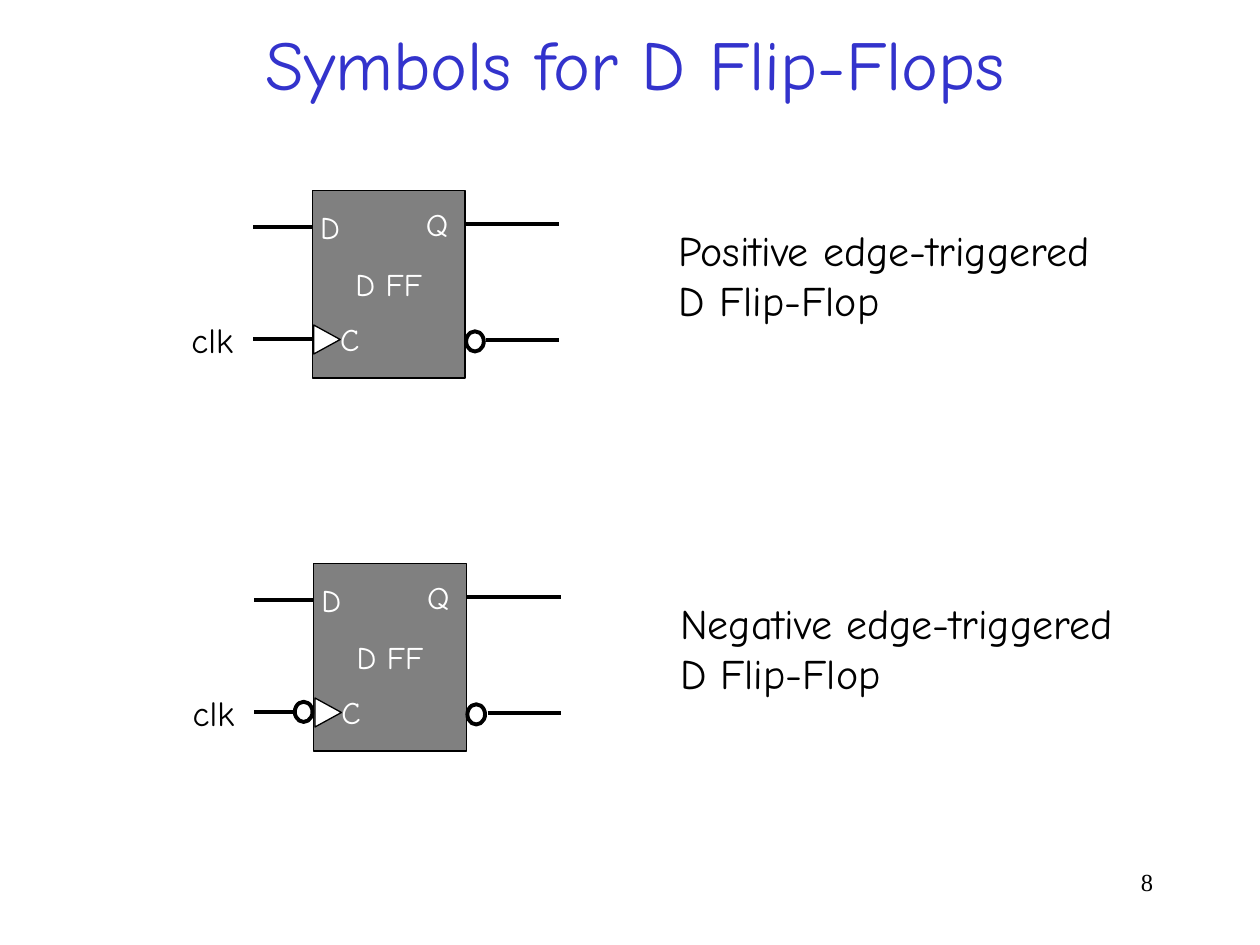
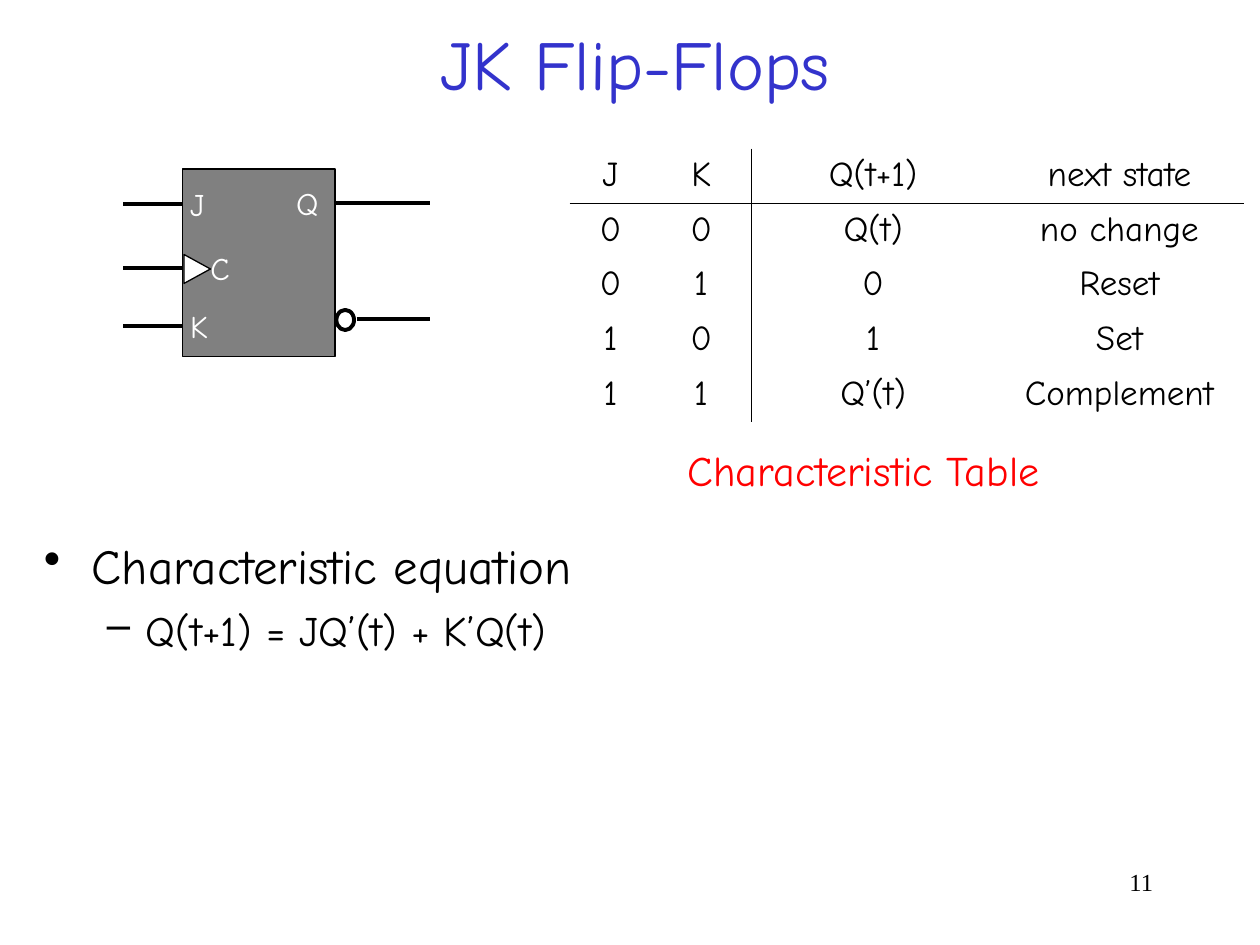
from lxml.etree import SubElement
from pptx import Presentation
from pptx.dml.color import RGBColor
from pptx.enum.shapes import MSO_CONNECTOR, MSO_SHAPE
from pptx.enum.text import MSO_ANCHOR, PP_ALIGN
from pptx.oxml.ns import qn
from pptx.util import Inches, Pt

BLACK = RGBColor(0x00, 0x00, 0x00)
WHITE = RGBColor(0xFF, 0xFF, 0xFF)
GRAY = RGBColor(0x80, 0x80, 0x80)
TITLE_BLUE = RGBColor(0x33, 0x33, 0xCC)
RED = RGBColor(0xFF, 0x00, 0x00)
FONT = "Comic Neue"
NUMBER_FONT = "Times New Roman"

BODY_WIDTH, BODY_HEIGHT = 1.21, 1.49
LEAD_LEFT, LEAD_RIGHT = -0.47, 1.96
OUTPUT_Y, INVERTED_OUTPUT_Y = 0.27, 1.19
BUBBLE_WIDTH, BUBBLE_HEIGHT = 0.14, 0.16
LABEL_WIDTHS = {"D": 0.16, "Q": 0.18, "C": 0.15, "J": 0.11, "K": 0.14}

STATE_COLUMNS = (0.65, 0.79, 1.94, 1.97)
STATE_ROWS = (
    ("J", "K", "Q(t+1)", "next state"),
    ("0", "0", "Q(t)", "no change"),
    ("0", "1", "0", "Reset"),
    ("1", "0", "1", "Set"),
    ("1", "1", "Q’(t)", "Complement"),
)


def write(paragraph, text, size, color=BLACK, font=FONT, align=PP_ALIGN.LEFT):
    """Add one styled run to a paragraph."""
    paragraph.alignment = align
    run = paragraph.add_run()
    run.text = text
    run.font.size = Pt(size)
    run.font.name = font
    run.font.color.rgb = color


def set_margins(frame, horizontal, vertical):
    """Set the inner margins of a text frame."""
    frame.margin_left = frame.margin_right = Inches(horizontal)
    frame.margin_top = frame.margin_bottom = Inches(vertical)


def add_text(shapes, box, lines, size, wrap=False, margins=(0.1, 0.05),
             anchor=MSO_ANCHOR.TOP, **style):
    """Add a text box with one paragraph per line."""
    frame = shapes.add_textbox(*map(Inches, box)).text_frame
    frame.word_wrap = wrap
    frame.vertical_anchor = anchor
    set_margins(frame, *margins)
    for index, line in enumerate(lines):
        paragraph = frame.add_paragraph() if index else frame.paragraphs[0]
        write(paragraph, line, size, **style)
    return frame


def add_figure(shapes, kind, box, fill=None, weight=0.75):
    """Add a black-outlined preset shape, filled or hollow."""
    shape = shapes.add_shape(kind, *map(Inches, box))
    shape.shadow.inherit = False
    if fill is None:
        shape.fill.background()
    else:
        shape.fill.solid()
        shape.fill.fore_color.rgb = fill
    shape.line.color.rgb = BLACK
    shape.line.width = Pt(weight)
    return shape


def add_wire(shapes, start, end, y):
    """Add a horizontal wire."""
    wire = shapes.add_connector(
        MSO_CONNECTOR.STRAIGHT, *map(Inches, (start, y, end, y)))
    wire.line.color.rgb = BLACK
    wire.line.width = Pt(2.25)
    SubElement(wire._element.spPr, qn("a:effectLst"))


def add_bubble(shapes, left, y):
    """Add an inversion bubble centred on a wire."""
    box = (left, y - BUBBLE_HEIGHT / 2, BUBBLE_WIDTH, BUBBLE_HEIGHT)
    add_figure(shapes, MSO_SHAPE.OVAL, box, weight=2.25)


def add_pin_label(shapes, name, left, y):
    """Add a white pin name beside its wire."""
    add_text(shapes, (left, y - 0.15, LABEL_WIDTHS[name], 0.3), [name], 18,
             margins=(0, 0), color=WHITE)


def add_flip_flop(slide, left, top, inputs, clock_y, name=None,
                  clock_name=None, negative_edge=False):
    """Add a flip-flop symbol with its inputs, clock and two outputs."""
    shapes = slide.shapes.add_group_shape().shapes
    right = left + BODY_WIDTH
    lead_left, lead_right = left + LEAD_LEFT, left + LEAD_RIGHT
    body = add_figure(shapes, MSO_SHAPE.RECTANGLE,
                      (left, top, BODY_WIDTH, BODY_HEIGHT), GRAY)
    if name:
        frame = body.text_frame
        frame.word_wrap = False
        frame.vertical_anchor = MSO_ANCHOR.MIDDLE
        set_margins(frame, 0, 0)
        write(frame.paragraphs[0], name, 18, WHITE, align=PP_ALIGN.CENTER)

    for pin, offset in inputs:
        add_wire(shapes, left, lead_left, top + offset)
        add_pin_label(shapes, pin, left + 0.06, top + offset)

    clock = top + clock_y
    add_wire(shapes, left - 0.15 if negative_edge else left, lead_left, clock)
    if negative_edge:
        add_bubble(shapes, left - 0.15, clock)
    wedge = add_figure(shapes, MSO_SHAPE.ISOSCELES_TRIANGLE,
                       (left, clock - 0.1, 0.23, 0.21), WHITE)
    wedge.rotation = 90
    add_pin_label(shapes, "C", left + 0.22, clock)
    if clock_name:
        add_text(shapes, (left - 0.96, clock - 0.16, 0.33, 0.33),
                 [clock_name], 20, margins=(0, 0))

    add_wire(shapes, right, lead_right, top + OUTPUT_Y)
    add_pin_label(shapes, "Q", left + 0.9, top + OUTPUT_Y)
    add_bubble(shapes, right + 0.01, top + INVERTED_OUTPUT_Y + 0.01)
    add_wire(shapes, right + 0.17, lead_right, top + INVERTED_OUTPUT_Y)


def set_borders(cell, visible_sides):
    """Draw thin black lines on the given sides and none on the others."""
    properties = cell._tc.get_or_add_tcPr()
    for side in "LRTB":
        line = SubElement(properties, qn(f"a:ln{side}"), w=str(Pt(0.45)))
        if side in visible_sides:
            fill = SubElement(line, qn("a:solidFill"))
            SubElement(fill, qn("a:srgbClr"), val=str(BLACK))
        else:
            SubElement(line, qn("a:noFill"))


def add_state_table(slide):
    """Add the characteristic table, ruled below its head and after K."""
    table = slide.shapes.add_table(
        len(STATE_ROWS), len(STATE_COLUMNS),
        *map(Inches, (4.52, 1.18, sum(STATE_COLUMNS), 2.17))).table
    table.first_row = table.horz_banding = False
    for column, width in zip(table.columns, STATE_COLUMNS):
        column.width = Inches(width)
    rules = {"row": {0: "B", 1: "T"}, "column": {1: "R", 2: "L"}}
    for row, values in enumerate(STATE_ROWS):
        for column, value in enumerate(values):
            cell = table.cell(row, column)
            set_borders(cell, rules["row"].get(row, "")
                        + rules["column"].get(column, ""))
            cell.fill.background()
            write(cell.text_frame.paragraphs[0], value, 20,
                  align=PP_ALIGN.CENTER)


def add_bullet(paragraph, text, size, mark, left, hanging):
    """Write a paragraph with a hanging bullet mark."""
    properties = paragraph._p.get_or_add_pPr()
    properties.set("marL", str(Inches(left)))
    properties.set("indent", str(-Inches(hanging)))
    SubElement(properties, qn("a:buChar"), char=mark)
    write(paragraph, text, size)


def add_equation(slide):
    """Add the characteristic equation as a two-level list."""
    frame = add_text(slide.shapes, (0.25, 4.2, 9.58, 1.07), [], 28, wrap=True)
    add_bullet(frame.paragraphs[0], "Characteristic equation", 28,
               "•", 0.38, 0.38)
    equation = frame.add_paragraph()
    equation.level = 1
    equation.space_before = Pt(6)
    add_bullet(equation, "Q(t+1) = JQ’(t) + K’Q(t)", 24, "–", 0.81, 0.31)


def add_slide(presentation, title, number):
    """Add a blank slide with the shared title and page number."""
    slide = presentation.slides.add_slide(presentation.slide_layouts[6])
    add_text(slide.shapes, (7.17, 6.83, 2.08, 0.5), [number], 14, wrap=True,
             font=NUMBER_FONT, align=PP_ALIGN.RIGHT)
    add_text(slide.shapes, (0.25, 0, 9.58, 1), [title], 40, wrap=True,
             anchor=MSO_ANCHOR.MIDDLE, color=TITLE_BLUE,
             align=PP_ALIGN.CENTER)
    return slide


def build_d_slide(presentation):
    """Build the slide with both D flip-flop symbols."""
    slide = add_slide(presentation, "Symbols for D Flip-Flops", "8")
    variants = (
        ("Positive edge-triggered", 2.48, 1.51, 3.48, False),
        ("Negative edge-triggered", 2.49, 4.47, 3.64, True),
    )
    for trigger, left, top, width, negative_edge in variants:
        add_flip_flop(slide, left, top, [("D", 0.29)], 1.18, "D FF", "clk",
                      negative_edge)
        add_text(slide.shapes, (left + 2.81, top + 0.22, width, 0.9),
                 [trigger, "D Flip-Flop"], 24)


def build_jk_slide(presentation):
    """Build the slide with the JK symbol, table and equation."""
    slide = add_slide(presentation, "JK Flip-Flops", "11")
    add_equation(slide)
    add_flip_flop(slide, 1.45, 1.34, [("J", 0.28), ("K", 1.25)], 0.79)
    add_state_table(slide)
    add_text(slide.shapes, (5.36, 3.48, 3.03, 0.5), ["Characteristic Table"],
             24, color=RED)


def main():
    """Build and save the presentation."""
    presentation = Presentation()
    presentation.slide_width = Inches(10)
    presentation.slide_height = Inches(7.5)
    build_d_slide(presentation)
    build_jk_slide(presentation)
    presentation.save("out.pptx")


if __name__ == "__main__":
    main()
